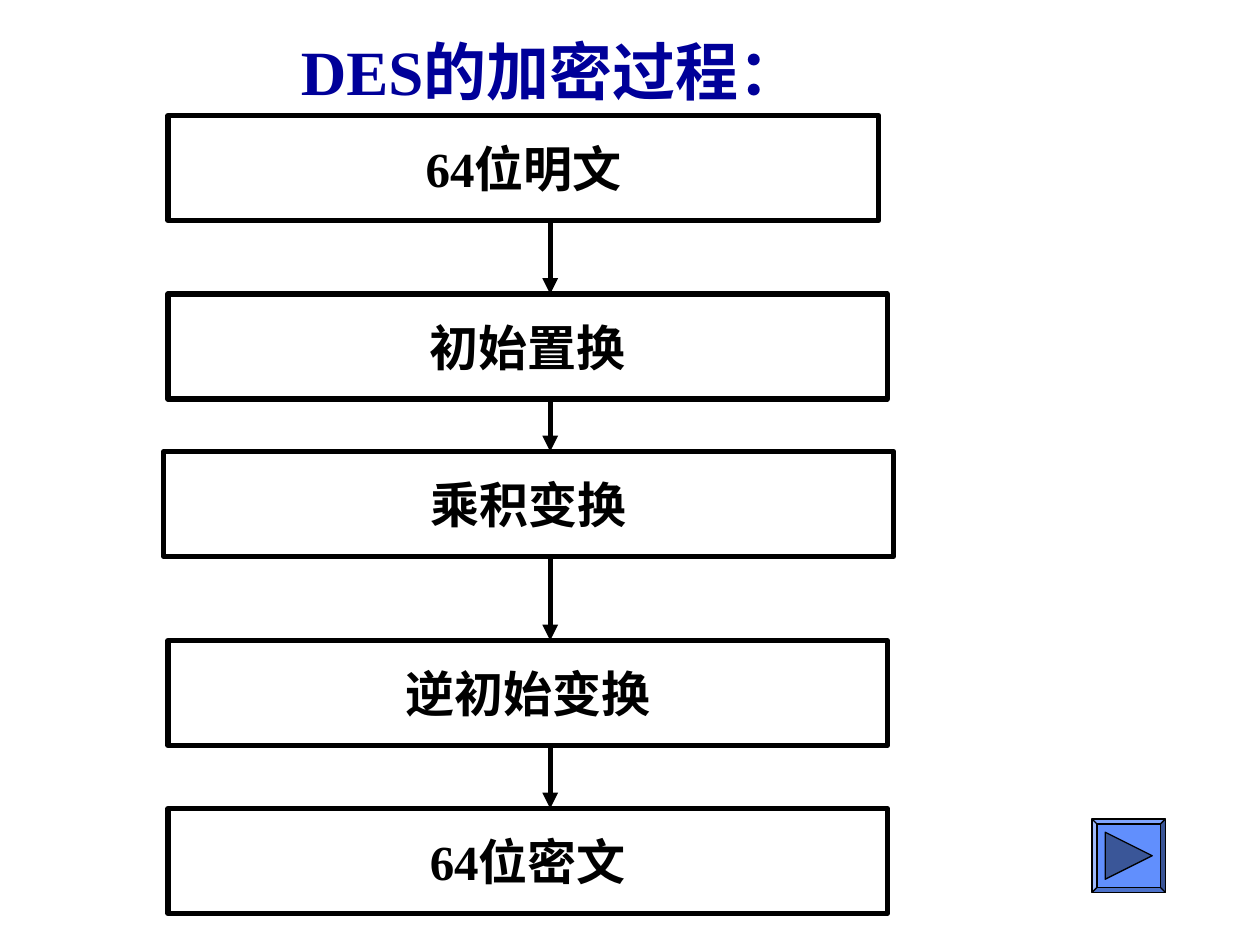
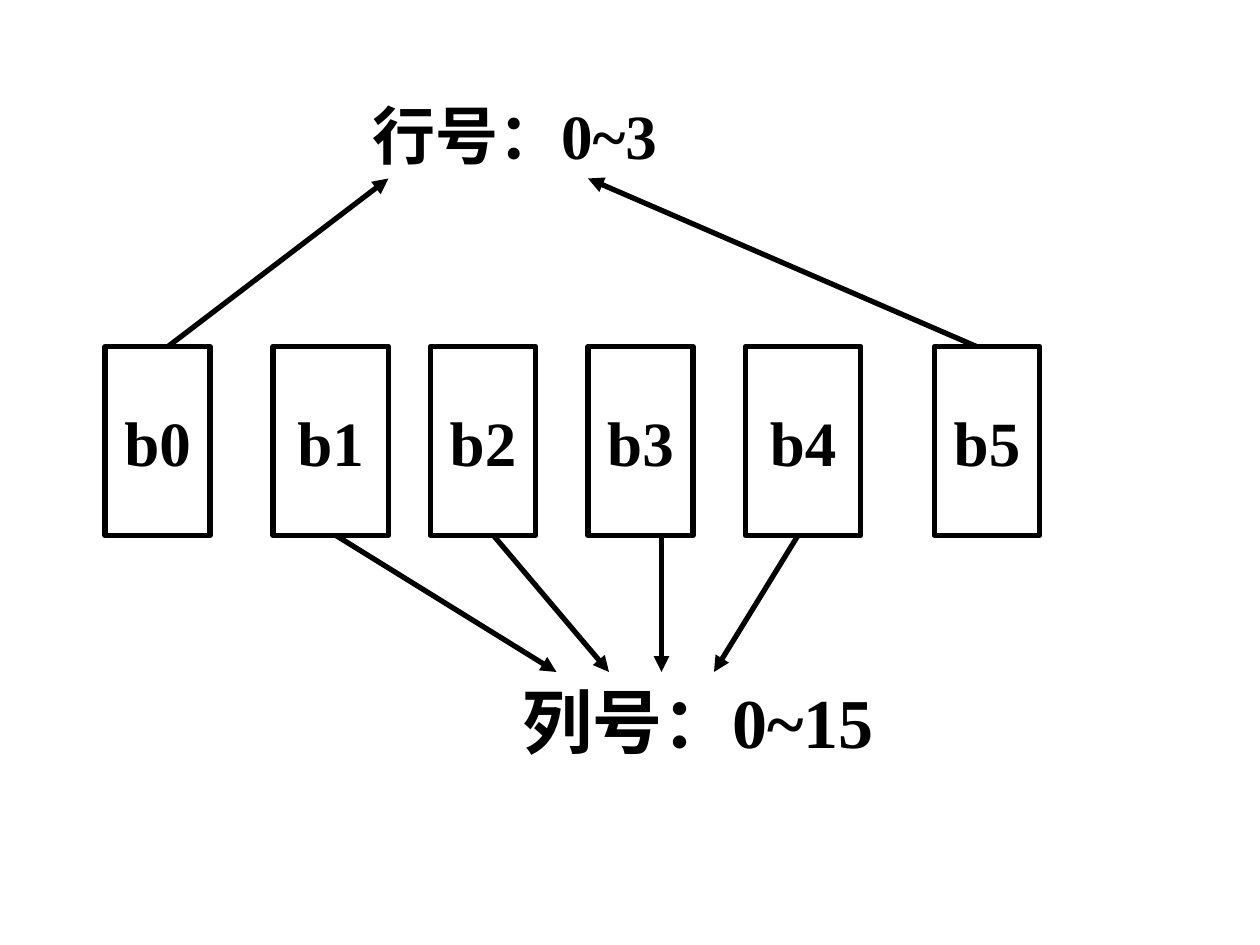
"""Build two slides on DES: its steps, and how six bits pick a row and a column."""
from dataclasses import dataclass
from itertools import pairwise

from lxml.etree import SubElement
from pptx import Presentation
from pptx.dml.color import RGBColor
from pptx.enum.lang import MSO_LANGUAGE_ID
from pptx.enum.shapes import MSO_CONNECTOR, MSO_SHAPE
from pptx.enum.text import MSO_ANCHOR, MSO_AUTO_SIZE, PP_ALIGN
from pptx.oxml.ns import qn
from pptx.shapes.autoshape import Shape
from pptx.slide import Slide
from pptx.text.text import TextFrame
from pptx.util import Inches, Length, Pt

BLACK = RGBColor(0x00, 0x00, 0x00)
WHITE = RGBColor(0xFF, 0xFF, 0xFF)
NAVY = RGBColor(0x00, 0x00, 0x99)
BLUE = RGBColor(0x61, 0x8F, 0xFD)
DUSK = RGBColor(0x3A, 0x56, 0x98)
FONT = "Times New Roman"
COLS, ROWS = 120, 90
STROKE, EDGE = 3, 0.75
STEP_HIGH, STEM = 10, 52.4
BIT_TOP, BIT_HIGH = 33, 18
ROW_TIP, COL_TIP = 17, 64


@dataclass(frozen=True)
class Area:
    left: float
    top: float
    wide: float
    high: float

    def place(self) -> tuple[Length, ...]:
        return tuple(grid(n) for n in (self.left, self.top, self.wide, self.high))


@dataclass(frozen=True)
class Step:
    text: str
    top: float
    left: float = 16
    wide: float = 68.5


@dataclass(frozen=True)
class Bit:
    left: float
    wide: float
    start: float
    tip: float
    to_row: bool = False


STEPS = (
    Step("64位明文", 11, wide=67.7),
    Step("初始置换", 28),
    Step("乘积变换", 43, 15.6, 69.5),
    Step("逆初始变换", 61),
    Step("64位密文", 77),
)
BITS = (
    Bit(10, 10, 16, 37, True),
    Bit(26, 11, 32, 53),
    Bit(41, 10, 47, 58),
    Bit(56, 10, 63, 63),
    Bit(71, 11, 76, 68),
    Bit(89, 10, 93, 56, True),
)


def grid(count: float) -> Length:
    return Inches(count * 10 / COLS)


def write(frame: TextFrame, text: str, size: int, color: RGBColor = BLACK) -> None:
    para = frame.paragraphs[0]
    para.alignment = PP_ALIGN.CENTER
    run = para.add_run()
    run.text = text
    font = run.font
    font.name, font.size, font.bold = FONT, Pt(size), True
    font.color.rgb = color
    font.language_id = MSO_LANGUAGE_ID.SIMPLIFIED_CHINESE


def label(slide: Slide, area: Area, text: str, size: int,
          color: RGBColor = BLACK, wrap: bool = True) -> None:
    frame = slide.shapes.add_textbox(*area.place()).text_frame
    frame.word_wrap = wrap
    frame.auto_size = MSO_AUTO_SIZE.SHAPE_TO_FIT_TEXT
    write(frame, text, size, color)


def paint(shape: Shape, fill: RGBColor, width: float) -> None:
    shape.shadow.inherit = False
    shape.fill.solid()
    shape.fill.fore_color.rgb = fill
    shape.line.color.rgb = BLACK
    shape.line.width = Pt(width)


def box(slide: Slide, area: Area, text: str, size: int) -> None:
    shape = slide.shapes.add_shape(MSO_SHAPE.RECTANGLE, *area.place())
    paint(shape, WHITE, STROKE)
    frame = shape.text_frame
    frame.word_wrap = False
    frame.vertical_anchor = MSO_ANCHOR.MIDDLE
    write(frame, text, size)


def arrow(slide: Slide, *ends: float) -> None:
    link = slide.shapes.add_connector(MSO_CONNECTOR.STRAIGHT, *map(grid, ends))
    link.line.color.rgb = BLACK
    link.line.width = Pt(STROKE)
    SubElement(link.line._get_or_add_ln(), qn("a:tailEnd"), type="triangle")
    SubElement(link._element.spPr, qn("a:effectLst"))


def button(slide: Slide, area: Area) -> None:
    base = slide.shapes.add_shape(MSO_SHAPE.BEVEL, *area.place())
    base.adjustments[0] = 0.07
    paint(base, BLUE, EDGE)
    back, tip = area.left + area.wide * 0.18, area.left + area.wide * 0.82
    high, low = area.top + area.high * 0.18, area.top + area.high * 0.82
    path = slide.shapes.build_freeform(grid(back), grid(high))
    path.add_line_segments([(grid(tip), grid((high + low) / 2)),
                            (grid(back), grid(low))])
    paint(path.convert_to_shape(), DUSK, EDGE)


def draw_steps(slide: Slide) -> None:
    label(slide, Area(21, 2.5, 63, 8.4), "DES的加密过程：", 36, NAVY)
    for step in STEPS:
        box(slide, Area(step.left, step.top, step.wide, STEP_HIGH), step.text, 28)
    for step, after in pairwise(STEPS):
        arrow(slide, STEM, step.top + STEP_HIGH, STEM, after.top)
    button(slide, Area(104, 78, 7, 7))


def draw_bits(slide: Slide) -> None:
    for index, bit in enumerate(BITS):
        box(slide, Area(bit.left, BIT_TOP, bit.wide, BIT_HIGH), f"b{index}", 36)
    label(slide, Area(33.5, 8.6, 31, 8.4), "行号：0~3", 36, wrap=False)
    label(slide, Area(46, 64, 41, 9.2), "列号：0~15", 40)
    for bit in BITS:
        if bit.to_row:
            arrow(slide, bit.start, BIT_TOP, bit.tip, ROW_TIP)
        else:
            arrow(slide, bit.start, BIT_TOP + BIT_HIGH, bit.tip, COL_TIP)


def main() -> None:
    deck = Presentation()
    deck.slide_width, deck.slide_height = grid(COLS), grid(ROWS)
    for draw in (draw_steps, draw_bits):
        draw(deck.slides.add_slide(deck.slide_layouts[6]))
    deck.save("out.pptx")


if __name__ == "__main__":
    main()
